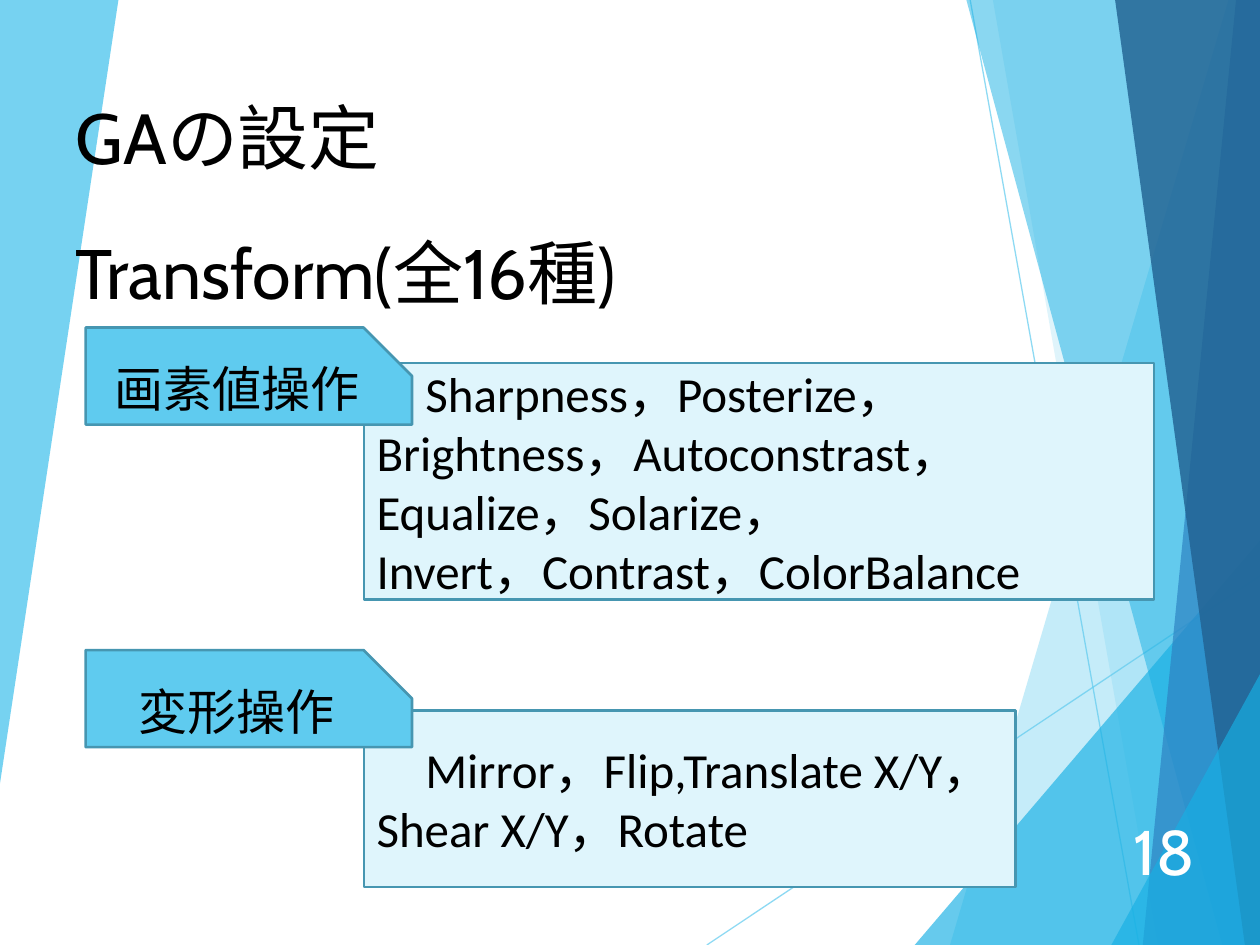
import lxml.etree
import pptx
import pptx.dml.color
import pptx.enum.shapes
import pptx.enum.text
import pptx.oxml.ns
import pptx.util

Inches = pptx.util.Inches
RGBColor = pptx.dml.color.RGBColor
Align = pptx.enum.text.PP_ALIGN
Anchor = pptx.enum.text.MSO_ANCHOR
Shape = pptx.enum.shapes.MSO_SHAPE
qn = pptx.oxml.ns.qn

CYAN = RGBColor(0x5F, 0xCB, 0xEF)
SKY = RGBColor(0x17, 0xB0, 0xE4)
BLUE = RGBColor(0x2E, 0x83, 0xC3)
NAVY = RGBColor(0x22, 0x62, 0x92)
PALE = RGBColor(0xDF, 0xF5, 0xFC)
EDGE = RGBColor(0x46, 0x96, 0xB1)
BLACK = RGBColor(0, 0, 0)
WHITE = RGBColor(0xFF, 0xFF, 0xFF)

# Corner points, colour and opacity in percent, from back to front
FACETS = [
    ([(9.75, 0), (7.54, 7.5), (10, 7.5), (10, 0)], CYAN, 36),
    ([(7.88, 0), (9.19, 7.5), (10, 7.5), (10, 0)], CYAN, 20),
    ([(7.26, 7.5), (10, 4.29), (10, 7.5)], SKY, 66),
    ([(7.67, 0), (9.7, 7.5), (10, 7.5), (10, 0)], SKY, 50),
    ([(9.81, 0), (9.07, 7.5), (10, 7.5), (10, 0)], BLUE, 70),
    ([(8.85, 0), (9.88, 7.5), (10, 7.5), (10, 0)], NAVY, 82),
    ([(8.82, 7.5), (10, 5.35), (10, 7.5)], SKY, 66),
    ([(0, 0), (0.94, 0), (0, 6.22)], CYAN, 85),
]
RAYS = [((5.61, 7.5), (10, 4.57)), ((7.7, 0), (9.04, 7.5))]

# Tag text, tag top, panel box, panel lines
GROUPS = [
    ("変形操作", 5.16, (2.89, 5.64, 5.17, 1.4),
     ["\u3000Mirror，Flip,Translate X/Y，", "Shear X/Y，Rotate"]),
    ("画素値操作", 2.6, (2.89, 2.88, 6.27, 1.88),
     ["　Sharpness，Posterize，Brightness，Autoconstrast，Equalize，Solarize，",
      "Invert，Contrast，ColorBalance"]),
]


def set_opacity(fill_owner, percent):
    color = fill_owner.find(".//" + qn("a:srgbClr"))
    lxml.etree.SubElement(color, qn("a:alpha"), val=str(percent * 1000))


def write(shape, lines, size, font, color=BLACK, align=Align.LEFT, anchor=Anchor.MIDDLE):
    frame = shape.text_frame
    frame.text = "\n".join(lines)
    frame.word_wrap = True
    frame.auto_size = pptx.enum.text.MSO_AUTO_SIZE.NONE
    frame.vertical_anchor = anchor
    for para in frame.paragraphs:
        para.alignment = align
        para.space_before = pptx.util.Pt(0)
        para.font.size = pptx.util.Pt(size)
        para.font.name = font
        para.font.color.rgb = color
        # East Asian letters use their own typeface
        for span in para.runs:
            lxml.etree.SubElement(span.font._element, qn("a:ea"), typeface="Noto Sans CJK JP")


def add_backdrop(page):
    for start, end in RAYS:
        ray = page.shapes.add_connector(
            pptx.enum.shapes.MSO_CONNECTOR.STRAIGHT, *map(Inches, start + end))
        ray.line.color.rgb = CYAN
        ray.line.width = pptx.util.Pt(0.75)
        properties = ray.element.spPr
        set_opacity(properties, 70)
        lxml.etree.SubElement(properties, qn("a:effectLst"))
    for points, color, opacity in FACETS:
        corners = [(Inches(x), Inches(y)) for x, y in points]
        builder = page.shapes.build_freeform(*corners[0])
        builder.add_line_segments(corners[1:], close=True)
        facet = builder.convert_to_shape()
        facet.shadow.inherit = False
        facet.fill.solid()
        facet.fill.fore_color.rgb = color
        set_opacity(facet.element.spPr, opacity)
        facet.line.fill.background()


def add_box(page, kind, box, fill):
    shape = page.shapes.add_shape(kind, *map(Inches, box))
    shape.shadow.inherit = False
    shape.fill.solid()
    shape.fill.fore_color.rgb = fill
    shape.line.color.rgb = EDGE
    shape.line.width = pptx.util.Pt(1.5)
    return shape


def add_heading(holder, box, text, size):
    holder.left, holder.top, holder.width, holder.height = map(Inches, box)
    write(holder, [text], size, "Cabin", anchor=Anchor.TOP)
    # Bring the heading in front of the backdrop
    holder.element.getparent().append(holder.element)


def add_panel(page, box, lines):
    write(add_box(page, Shape.RECTANGLE, box, PALE), lines, 28, "Calibri")


def add_tag(page, box, text):
    tag = add_box(page, Shape.SNIP_1_RECTANGLE, box, CYAN)
    tag.adjustments[0] = 0.5
    write(tag, [text], 28, "Cabin", align=Align.CENTER)


def add_page_number(page, box, text):
    number = page.shapes.add_textbox(*map(Inches, box))
    write(number, [text], 36, "Cabin", WHITE, Align.RIGHT)


def main():
    deck = pptx.Presentation()
    deck.slide_width, deck.slide_height = Inches(10), Inches(7.5)
    page = deck.slides.add_slide(deck.slide_layouts[1])
    title, body = page.placeholders

    add_backdrop(page)
    for _, _, box, lines in GROUPS:
        add_panel(page, box, lines)
    add_page_number(page, (8.74, 6.48, 0.84, 0.53), "18")

    # Headings, the second one without its bullet
    add_heading(title, (0.5, 0.69, 3.81, 0.78), "GAの設定", 40.5)
    add_heading(body, (0.5, 1.77, 7.71, 0.77), "Transform(全16種)", 40)
    properties = body.text_frame.paragraphs[0]._p.get_or_add_pPr()
    properties.set("marL", "0")
    properties.set("indent", "0")
    no_bullet = lxml.etree.Element(qn("a:buNone"))
    properties.find(qn("a:defRPr")).addprevious(no_bullet)

    for text, top, _, _ in GROUPS:
        add_tag(page, (0.68, top, 2.59, 0.77), text)
    deck.save("out.pptx")


if __name__ == "__main__":
    main()
